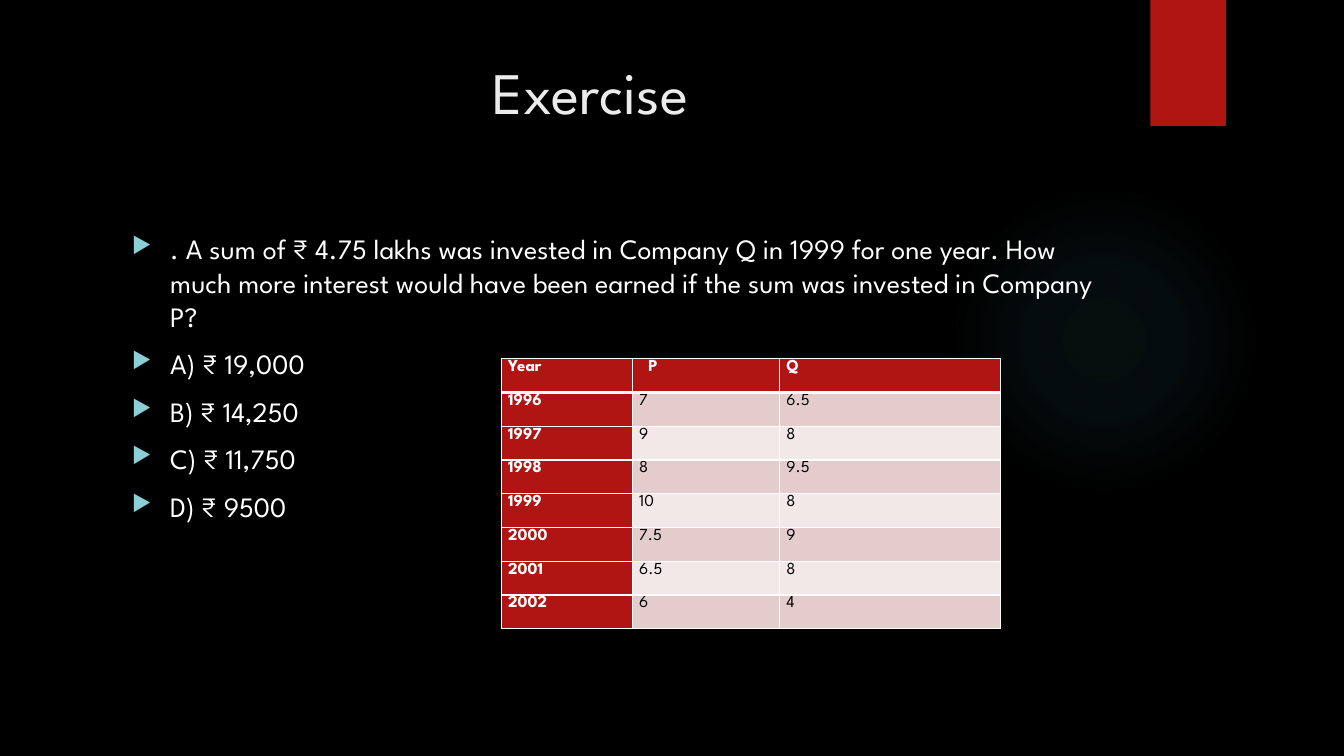
import pptx
import pptx.dml.color
import pptx.enum.shapes
import pptx.enum.text
import pptx.oxml
import pptx.util
from pptx.util import Inches

NS = 'xmlns:a="http://schemas.openxmlformats.org/drawingml/2006/main"'
RED, WHITE, BLACK, TEAL = "B01513", "FFFFFF", "000000", "50B9C1"
BANDS = ("E4CCCC", "F2E8E7")

OPTIONS = [
    ". A sum of ₹ 4.75 lakhs was invested in Company Q in 1999 for one year. "
    "How much more interest would have been earned if the sum was invested in Company P?",
    "A) ₹ 19,000",
    "B) ₹ 14,250",
    "C) ₹ 11,750",
    "D) ₹ 9500",
]
RATES = [
    ("Year", "P", "Q"),
    ("1996", "7", "6.5"),
    ("1997", "9", "8"),
    ("1998", "8", "9.5"),
    ("1999", "10", "8"),
    ("2000", "7.5", "9"),
    ("2001", "6.5", "8"),
    ("2002", "6", "4"),
]


def rgb(value):
    return pptx.dml.color.RGBColor.from_string(value)


def add_xml(parent, xml):
    """Append an element written with the a: prefix."""
    el = pptx.oxml.parse_xml(xml.replace(">", f" {NS}>", 1))
    parent.append(el)
    return el


class Deck:
    font = "League Spartan"

    def __init__(self, prs, background):
        self.s = prs.slides.add_slide(prs.slide_layouts[6])
        fill = self.s.background.fill
        fill.solid()
        fill.fore_color.rgb = rgb(background)

    def style(self, p, size, color, bold=False):
        for r in p.runs:
            r.font.name = self.font
            r.font.size = pptx.util.Pt(size)
            r.font.bold = bold
            r.font.color.rgb = rgb(color)

    def shape(self, kind, x, y, w, h, color):
        sp = self.s.shapes.add_shape(kind, Inches(x), Inches(y), Inches(w), Inches(h))
        sp.shadow.inherit = False
        sp.fill.solid()
        sp.fill.fore_color.rgb = rgb(color)
        sp.line.fill.background()
        return sp

    def glow(self, x, y, size, color, stops):
        """Draw a circle fading outwards; stops are (position, opacity) in percent."""
        sp = self.shape(pptx.enum.shapes.MSO_SHAPE.OVAL, x, y, size, size, color)
        gs = "".join(
            f'<a:gs pos="{pos * 1000}"><a:srgbClr val="{color}">'
            f'<a:alpha val="{alpha * 1000}"/></a:srgbClr></a:gs>'
            for pos, alpha in stops)
        spPr = sp.element.spPr
        grad = add_xml(spPr, f'<a:gradFill><a:gsLst>{gs}</a:gsLst><a:path path="circle">'
                       '<a:fillToRect l="50000" t="50000" r="50000" b="50000"/>'
                       '</a:path></a:gradFill>')
        spPr.replace(spPr.find(pptx.oxml.ns.qn("a:solidFill")), grad)

    def text(self, x, y, w, h, lines, size, color):
        box = self.s.shapes.add_textbox(Inches(x), Inches(y), Inches(w), Inches(h))
        tf = box.text_frame
        tf.word_wrap = True
        tf.text = "\n".join(lines)
        for p in tf.paragraphs:
            self.style(p, size, color)
        return tf

    def bullets(self, tf, color, indent, space):
        for p in tf.paragraphs:
            p.space_before = pptx.util.Pt(space)
            pPr = p._p.get_or_add_pPr()
            pPr.set("marL", str(Inches(indent)))
            pPr.set("indent", str(-Inches(indent)))
            add_xml(pPr, f'<a:buClr><a:srgbClr val="{color}"/></a:buClr>')
            add_xml(pPr, '<a:buSzPct val="80000"></a:buSzPct>')
            add_xml(pPr, '<a:buChar char="▶"></a:buChar>')

    def cell(self, cell, text, fill, color, bold, top, bottom, left=0.07):
        tcPr = cell._tc.get_or_add_tcPr()
        for side, width in (("L", 1), ("R", 1), ("T", top), ("B", bottom)):
            add_xml(tcPr, f'<a:ln{side} w="{width * 12700}"><a:solidFill>'
                    f'<a:srgbClr val="{WHITE}"/></a:solidFill></a:ln{side}>')
        cell.fill.solid()
        cell.fill.fore_color.rgb = rgb(fill)
        cell.margin_left, cell.margin_right = Inches(left), Inches(0.07)
        cell.margin_top = cell.margin_bottom = 0
        cell.text = text
        p = cell.text_frame.paragraphs[0]
        p.line_spacing = 1.07
        p.space_after = pptx.util.Pt(8)
        self.style(p, 12, color, bold)

    def table(self, x, y, widths, row_height, rows):
        table = self.s.shapes.add_table(
            len(rows), len(widths), Inches(x), Inches(y),
            Inches(sum(widths)), Inches(row_height * len(rows))).table
        for column, width in zip(table.columns, widths):
            column.width = Inches(width)
        for i, row in enumerate(rows):
            for j, value in enumerate(row):
                heading = i == 0 or j == 0
                self.cell(
                    table.cell(i, j), value,
                    fill=RED if heading else BANDS[(i - 1) % 2],
                    color=WHITE if heading else BLACK,
                    bold=heading,
                    top=3 if i == 1 else 1,
                    bottom=3 if i == 0 else 1,
                    left=0.16 if value == "P" else 0.07)


def main():
    prs = pptx.Presentation()
    prs.slide_width, prs.slide_height = Inches(13.33), Inches(7.5)
    deck = Deck(prs, BLACK)

    deck.glow(9.41, 1.83, 3.08, TEAL, [(0, 7), (36, 6), (69, 0), (100, 0)])
    deck.shape(pptx.enum.shapes.MSO_SHAPE.RECTANGLE, 11.41, 0, 0.75, 1.25, RED)

    title = deck.text(0.71, 0.5, 10.29, 1.53, ["Exercise"], 42, "EBEBEB")
    title.paragraphs[0].alignment = pptx.enum.text.PP_ALIGN.CENTER

    body = deck.text(1.21, 2.25, 9.78, 4.59, OPTIONS, 20, WHITE)
    deck.bullets(body, "8AD0D6", indent=0.38, space=10)

    deck.table(4.97, 3.56, (1.3, 1.46, 2.19), 2.68 / len(RATES), RATES)
    prs.save("out.pptx")


if __name__ == "__main__":
    main()
